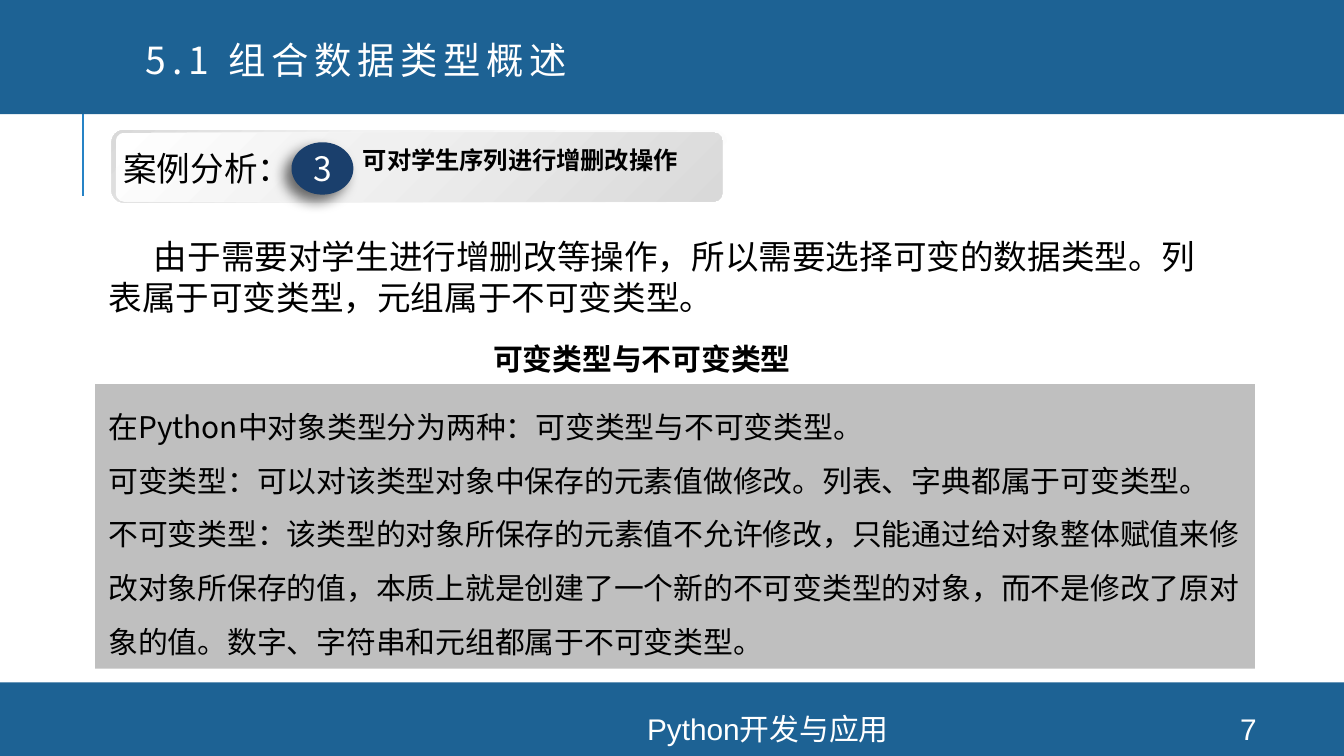
import copy

import pptx
import pptx.dml.color
import pptx.enum.shapes
import pptx.enum.text
import pptx.oxml
import pptx.oxml.ns
import pptx.util

Cm, Pt = pptx.util.Cm, pptx.util.Pt
SHAPE = pptx.enum.shapes.MSO_SHAPE
ALIGN = pptx.enum.text.PP_ALIGN
ANCHOR = pptx.enum.text.MSO_ANCHOR
qn = pptx.oxml.ns.qn
NOTO, ARIAL = "Noto Sans CJK SC", "Arial"
BLUE, NAVY, WHITE, BLACK = "1D6294", "1A3F6C", "FFFFFF", "000000"

NOTES = [
    "在Python中对象类型分为两种：可变类型与不可变类型。",
    "可变类型：可以对该类型对象中保存的元素值做修改。列表、字典都属于可变类型。",
    "不可变类型：该类型的对象所保存的元素值不允许修改，只能通过给对象整体赋值来修改对象所保存的值，"
    "本质上就是创建了一个新的不可变类型的对象，而不是修改了原对象的值。"
    "数字、字符串和元组都属于不可变类型。",
]


def color(code):
    return pptx.dml.color.RGBColor.from_string(code)


def place(box):
    return [Cm(v) for v in box]


def inside(box, left, top, width, height):
    """Shift a part's offsets into slide coordinates."""
    return box[0] + left, box[1] + top, width, height


def draw(slide, kind, box, fill=None):
    shape = slide.shapes.add_shape(kind, *place(box))
    shape.shadow.inherit = False
    shape.line.fill.background()
    if fill:
        shape.fill.solid()
        shape.fill.fore_color.rgb = color(fill)
    return shape


def write(shape, lines, size, font=NOTO, ink=BLACK, bold=False, align=ALIGN.LEFT,
          anchor=ANCHOR.TOP, wrap=True, inset=None, space=None, indent=0, track=0):
    frame = shape.text_frame
    frame.word_wrap = wrap
    frame.vertical_anchor = anchor
    if inset is not None:
        frame.margin_left = frame.margin_right = Cm(inset)
        frame.margin_top = frame.margin_bottom = Cm(inset)
    frame.text = "\n".join(lines)
    for par in frame.paragraphs:
        par.alignment = align
        if space:
            par.line_spacing = space
        if indent:
            par._p.get_or_add_pPr().set("indent", str(Cm(indent)))
        face = par.font
        face.name, face.size, face.bold = font, Pt(size), bold
        face.color.rgb = color(ink)
        props = par._p.pPr.find(qn("a:defRPr"))
        if font == NOTO:
            east = copy.deepcopy(props.find(qn("a:latin")))
            east.tag = qn("a:ea")
            props.find(qn("a:latin")).addnext(east)
        if track:
            props.set("spc", str(track * 100))


def label(slide, box, text, size, **style):
    write(slide.shapes.add_textbox(*place(box)), [text], size, **style)


def blend(shape, stops, angle):
    """Fill a shape with (position, colour) stops."""
    shape.fill.gradient()
    shape.fill.gradient_angle = angle
    first = shape._element.spPr.find(".//" + qn("a:gs"))
    for _ in stops[2:]:
        first.addnext(copy.deepcopy(first))
    for stop, (pos, code) in zip(shape.fill.gradient_stops, stops):
        stop.color.rgb = color(code)
        stop.position = pos


def shade(shape):
    """Cast a soft shadow to the lower left."""
    cast = pptx.oxml.parse_xml(
        f'<a:outerShdw {pptx.oxml.ns.nsdecls("a")} blurRad="{Pt(7)}" dist="{Pt(5)}" '
        'dir="8100000" algn="tr" rotWithShape="0"><a:srgbClr val="000000">'
        '<a:alpha val="57000"/></a:srgbClr></a:outerShdw>')
    shape._element.spPr.find(qn("a:effectLst")).append(cast)


def header(slide, box):
    left, _, _, height = box
    rule = slide.shapes.add_connector(
        pptx.enum.shapes.MSO_CONNECTOR.STRAIGHT,
        *place((left + 1.57, height - 0.43, left + 1.57, height + 1.47)))
    rule.line.color.rgb = color("2683C6")
    rule.line.width = Pt(1.5)
    rule._element.spPr.append(pptx.oxml.parse_xml(
        f'<a:effectLst {pptx.oxml.ns.nsdecls("a")}/>'))
    draw(slide, SHAPE.RECTANGLE, box, BLUE)
    label(slide, inside(box, 2.51, 0.66, 8.84, 1.12), "5.1 组合数据类型概述", 20,
          ink=WHITE, wrap=False, track=3)


def banner(slide, box):
    _, _, width, height = box
    layers = [(box, 62, "F2F2F2", 135, 0.17),
              (inside(box, 0.08, 0.05, width - 0.17, height - 0.07), 42, "F0F0F0", 315, 0.12)]
    for spot, mid, tone, angle, curve in layers:
        card = draw(slide, SHAPE.ROUNDED_RECTANGLE, spot)
        card.adjustments[0] = curve
        blend(card, [(0, WHITE), (mid / 100, tone), (1, "D9D9D9")], angle)
    badge = draw(slide, SHAPE.OVAL, inside(box, 3.4, 0.23, 1.17, 0.99), NAVY)
    shade(badge)
    write(badge, ["3"], 18, ink=WHITE, align=ALIGN.CENTER, anchor=ANCHOR.MIDDLE)
    label(slide, inside(box, 4.75, 0.28, 6.86, 1.12), "可对学生序列进行增删改操作", 13,
          bold=True, inset=0)
    label(slide, inside(box, -0.03, 0.21, 3.68, 1.02), "案例分析：", 18,
          font=ARIAL, wrap=False)


def content(slide, box):
    _, _, width, height = box
    label(slide, inside(box, 0, 0, 21.46, 1.8),
          "由于需要对学生进行增删改等操作，所以需要选择可变的数据类型。"
          "列表属于可变类型，元组属于不可变类型。", 18, font=ARIAL, indent=0.86)
    label(slide, inside(box, 7.27, 1.98, 7.26, 0.94), "可变类型与不可变类型", 16, bold=True)
    panel = draw(slide, SHAPE.RECTANGLE, inside(box, 0, 2.92, width, height - 2.92), "BFBFBF")
    write(panel, NOTES, 16, space=1.5)


def footer(slide, box):
    draw(slide, SHAPE.RECTANGLE, box, BLUE)
    for left, width, text in [(6.63, 15.77, "Python开发与应用"), (22.58, 2.03, "7")]:
        label(slide, inside(box, left, 0.59, width, 0.58), text, 16, font=ARIAL,
              ink=WHITE, align=ALIGN.CENTER, anchor=ANCHOR.MIDDLE)


def main():
    deck = pptx.Presentation()
    deck.slide_width, deck.slide_height = Cm(25.4), Cm(14.29)
    slide = deck.slides.add_slide(deck.slide_layouts[6])
    header(slide, (0, -0.08, 25.4, 2.24))
    banner(slide, (2.11, 2.46, 11.63, 1.37))
    content(slide, (1.8, 4.34, 21.92, 8.3))
    footer(slide, (0, 12.9, 25.4, 1.39))
    deck.save("out.pptx")


if __name__ == "__main__":
    main()
